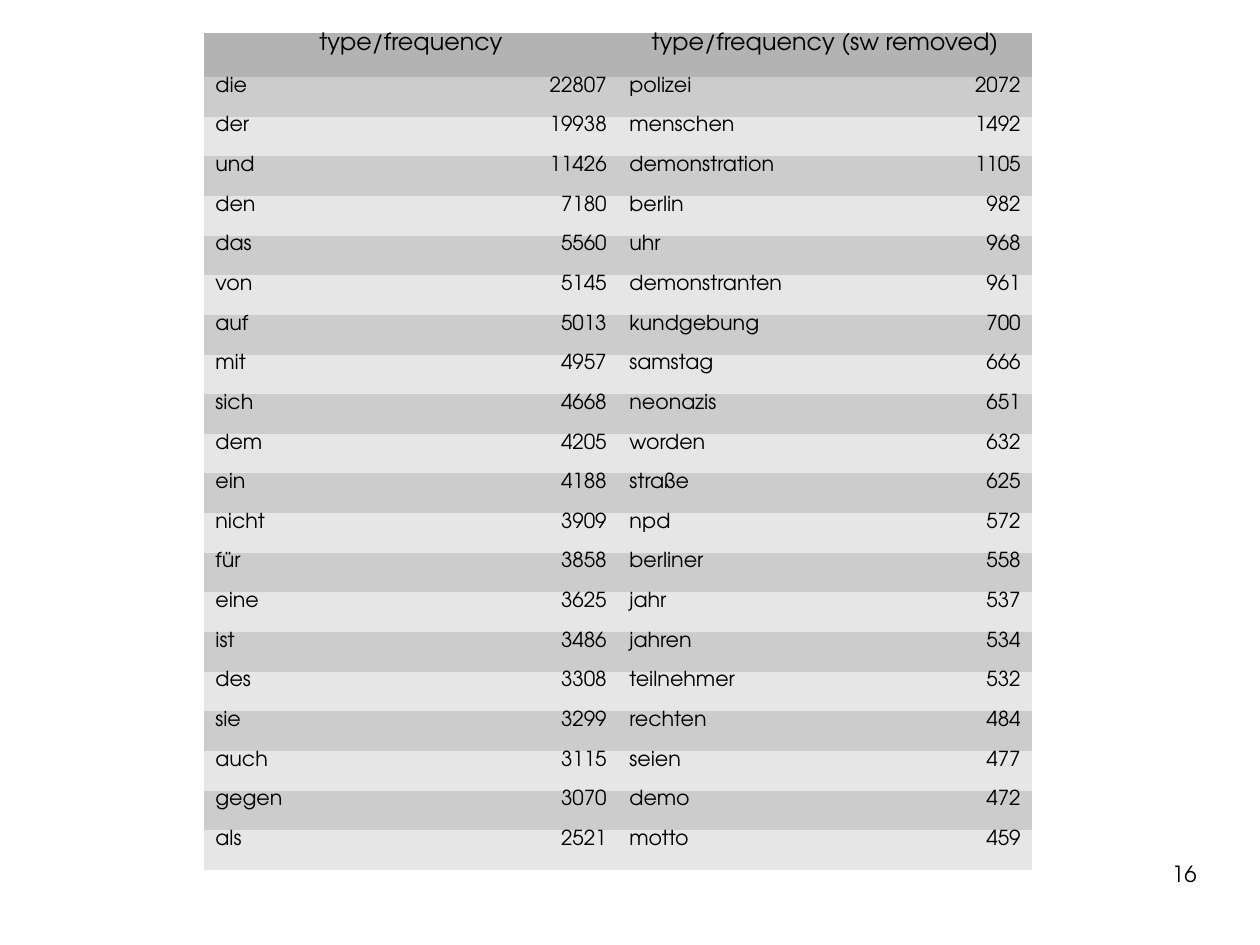
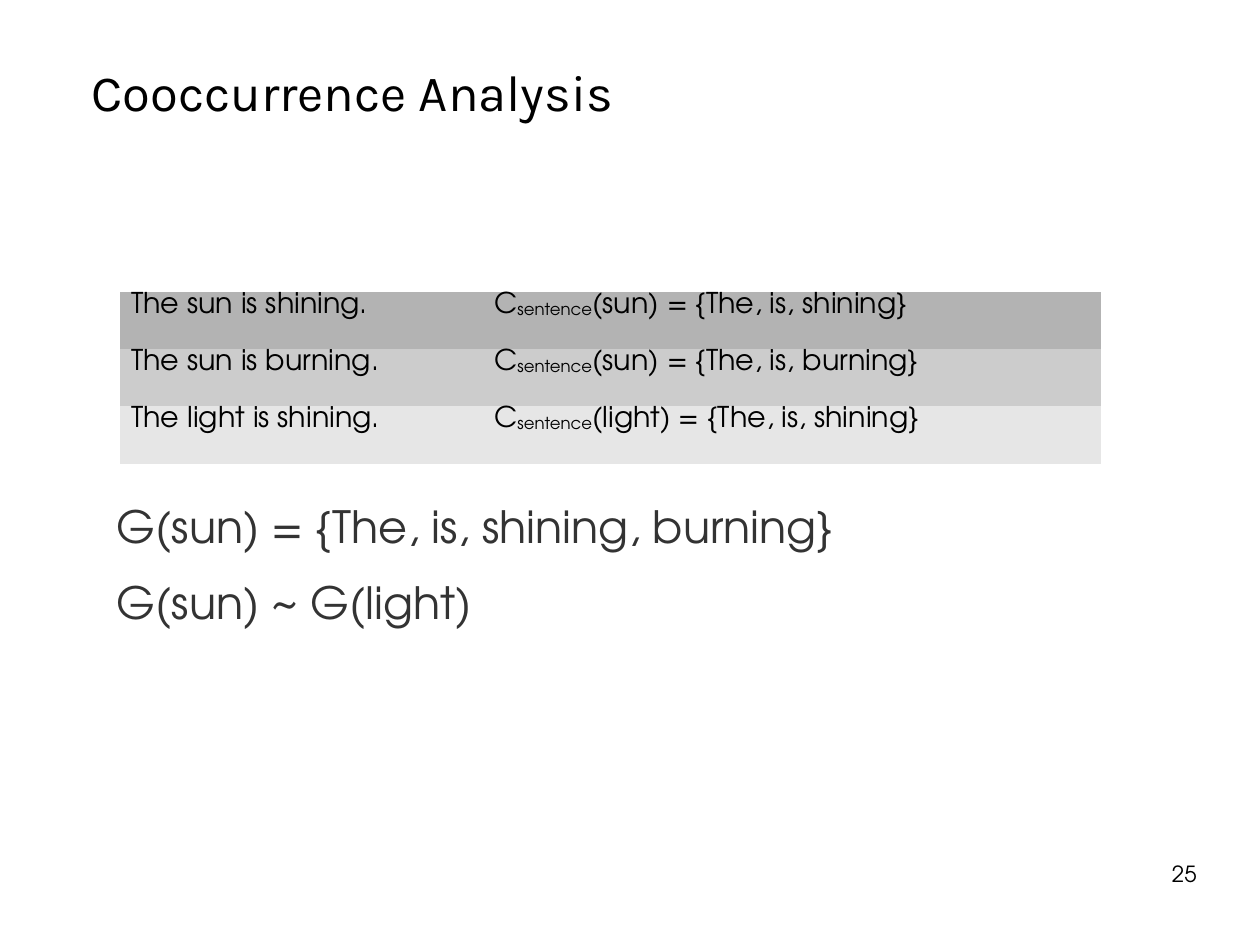
from dataclasses import dataclass

from pptx import Presentation
from pptx.dml.color import RGBColor
from pptx.enum.text import MSO_ANCHOR as Anchor, PP_ALIGN as Align
from pptx.util import Pt


@dataclass(frozen=True)
class Theme:
    # Fonts
    title_font: str = "Karla"
    body_font: str = "TeX Gyre Adventor"
    # Colours
    ink: str = "000000"
    soft_ink: str = "333333"
    head_fill: str = "B3B3B3"
    odd_fill: str = "CCCCCC"
    even_fill: str = "E6E6E6"
    # Type sizes
    title: int = 32
    body: int = 28
    example: int = 18
    head: int = 15
    number: int = 14
    count: int = 13


PLAIN_TABLE = "{2D5ABB26-0587-4C30-8999-92F81FD0307C}"
SUBSCRIPT = "-8000"


class Deck:
    def __init__(self, theme):
        self.theme = theme
        self.prs = Presentation()
        self.prs.slide_width, self.prs.slide_height = Pt(793.7), Pt(595.28)
        self.slide = None

    def new_slide(self, number):
        self.slide = self.prs.slides.add_slide(self.prs.slide_layouts[6])
        self.text([str(number)], (568.8, 542.2, 185, 41), self.theme.number,
                  align=Align.RIGHT)

    def fill_line(self, paragraph, text, size, font=None, color=None,
                  align=None):
        """Fill a paragraph; parts between underscores become subscripts."""
        paragraph.alignment = align
        for i, part in enumerate(text.split("_")):
            run = paragraph.add_run()
            run.text = part
            style = {"size": Pt(size), "name": font or self.theme.body_font}
            for key, value in style.items():
                setattr(run.font, key, value)
            run.font.color.rgb = RGBColor.from_string(color or self.theme.ink)
            if i % 2:
                run.font._element.set("baseline", SUBSCRIPT)

    def text(self, lines, box, size, anchor=Anchor.TOP, indent=0, after=0,
             **style):
        frame = self.slide.shapes.add_textbox(*map(Pt, box)).text_frame
        settings = {"word_wrap": True, "vertical_anchor": anchor,
                    "margin_left": Pt(indent), "margin_right": 0,
                    "margin_top": 0, "margin_bottom": 0}
        for key, value in settings.items():
            setattr(frame, key, value)
        for i, line in enumerate(lines):
            paragraph = frame.add_paragraph() if i else frame.paragraphs[0]
            paragraph.space_after = Pt(after)
            self.fill_line(paragraph, line, size, **style)

    def title(self, text):
        self.text([text], (39.6, 23.8, 607, 67), self.theme.title,
                  anchor=Anchor.MIDDLE, indent=18, font=self.theme.title_font)

    def table(self, origin, widths, heights):
        """Add an unstyled table whose rows are shaded head, odd, even."""
        frame = self.slide.shapes.add_table(
            len(heights), len(widths), *map(Pt, origin),
            Pt(sum(widths)), Pt(sum(heights)))
        table = frame.table
        table.first_row = table.horz_banding = False
        table._tbl.tblPr[0].text = PLAIN_TABLE
        for column, width in zip(table.columns, widths):
            column.width = Pt(width)
        bands = (self.theme.even_fill, self.theme.odd_fill)
        for i, (row, height) in enumerate(zip(table.rows, heights)):
            row.height = Pt(height)
            for cell in row.cells:
                cell.margin_top = cell.margin_bottom = 0
                cell.fill.solid()
                cell.fill.fore_color.rgb = RGBColor.from_string(
                    bands[i % 2] if i else self.theme.head_fill)
        return table

    def cell(self, table, row, column, text, size, align=None):
        self.fill_line(table.cell(row, column).text_frame.paragraphs[0], text,
                       size, align=align)


HEADS = ["type/frequency", "type/frequency (sw removed)"]
FREQUENCIES = [
    ("die", 22807, "polizei", 2072),
    ("der", 19938, "menschen", 1492),
    ("und", 11426, "demonstration", 1105),
    ("den", 7180, "berlin", 982),
    ("das", 5560, "uhr", 968),
    ("von", 5145, "demonstranten", 961),
    ("auf", 5013, "kundgebung", 700),
    ("mit", 4957, "samstag", 666),
    ("sich", 4668, "neonazis", 651),
    ("dem", 4205, "worden", 632),
    ("ein", 4188, "straße", 625),
    ("nicht", 3909, "npd", 572),
    ("für", 3858, "berliner", 558),
    ("eine", 3625, "jahr", 537),
    ("ist", 3486, "jahren", 534),
    ("des", 3308, "teilnehmer", 532),
    ("sie", 3299, "rechten", 484),
    ("auch", 3115, "seien", 477),
    ("gegen", 3070, "demo", 472),
    ("als", 2521, "motto", 459),
]
CONTEXTS = [
    ("The sun is shining.", "C_sentence_(sun) = {The, is, shining}"),
    ("The sun is burning.", "C_sentence_(sun) = {The, is, burning}"),
    ("The light is shining.", "C_sentence_(light) = {The, is, shining}"),
]
GLOBAL_CONTEXTS = ["G(sun) = {The, is, shining, burning}", "G(sun) ~ G(light)"]


def frequency_slide(deck):
    deck.new_slide(16)
    table = deck.table((128.5, 20.8), [130.4, 130.4, 160, 100.8],
                       [27.7] + [25] * len(FREQUENCIES))
    # Each heading spans a word column and its count column
    for i, head in enumerate(HEADS):
        table.cell(0, 2 * i).merge(table.cell(0, 2 * i + 1))
        deck.cell(table, 0, 2 * i, head, deck.theme.head, Align.CENTER)
    for r, entry in enumerate(FREQUENCIES, 1):
        for c, value in enumerate(entry):
            deck.cell(table, r, c, str(value), deck.theme.count,
                      Align.RIGHT if c % 2 else None)


def cooccurrence_slide(deck):
    deck.new_slide(25)
    deck.title("Cooccurrence Analysis")
    # Global contexts
    deck.text(GLOBAL_CONTEXTS, (39.6, 314.6, 646.6, 102), deck.theme.body,
              indent=34, after=14.1, color=deck.theme.soft_ink)
    # Sentence contexts
    table = deck.table((75.6, 184), [228.5, 389.3], [36] * len(CONTEXTS))
    for r, pair in enumerate(CONTEXTS):
        for c, value in enumerate(pair):
            deck.cell(table, r, c, value, deck.theme.example)


def main():
    deck = Deck(Theme())
    frequency_slide(deck)
    cooccurrence_slide(deck)
    deck.prs.save("out.pptx")


if __name__ == "__main__":
    main()
